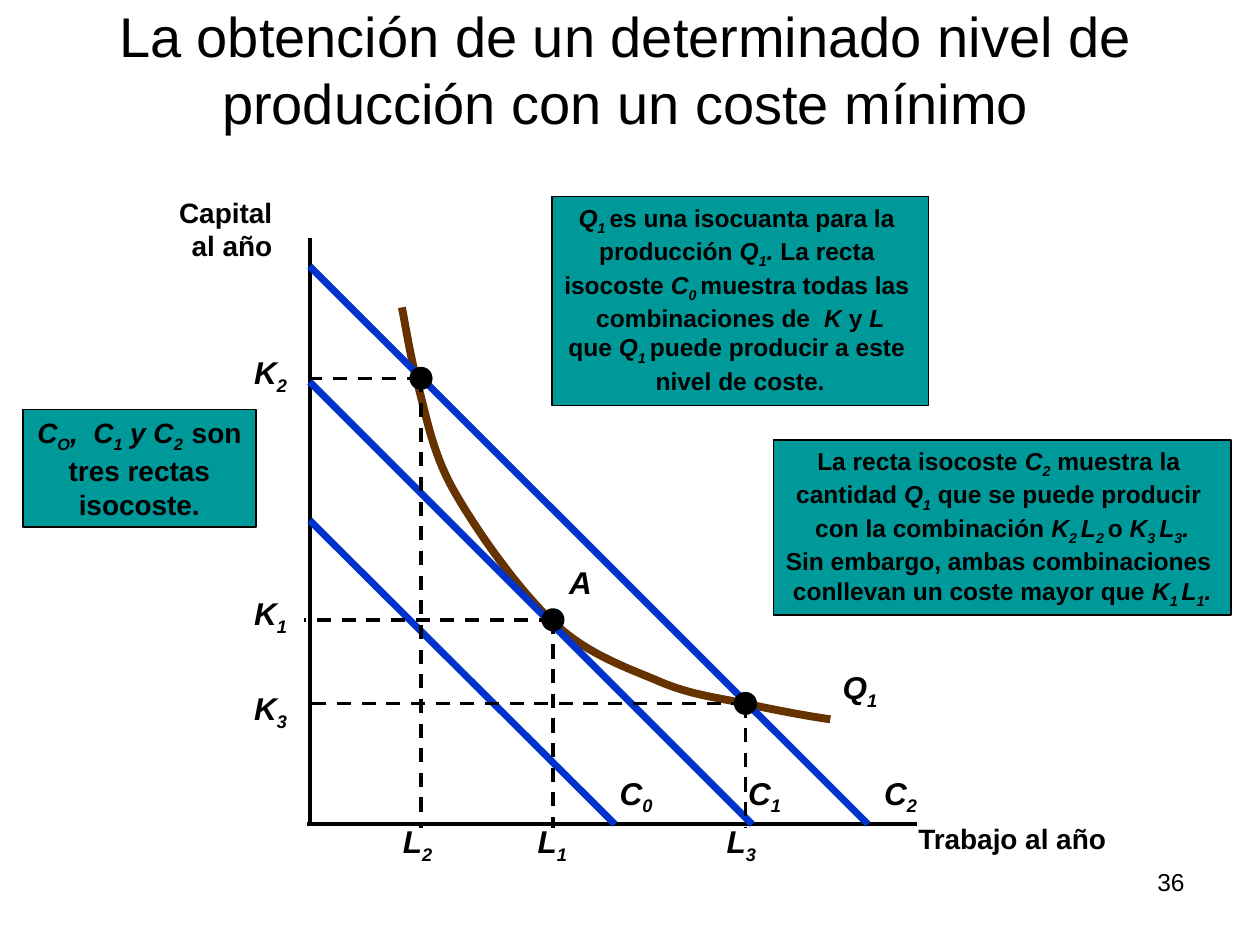
"""Build the slide on reaching a given output at minimum cost."""
from typing import NamedTuple

from lxml.etree import SubElement
from pptx import Presentation
from pptx.dml.color import RGBColor
from pptx.enum.dml import MSO_LINE
from pptx.enum.shapes import MSO_CONNECTOR, MSO_SHAPE
from pptx.enum.text import MSO_ANCHOR, MSO_AUTO_SIZE, PP_ALIGN
from pptx.oxml.ns import qn
from pptx.util import Pt

BLACK, TEAL, BLUE, BROWN = "000000", "009999", "0033CC", "663300"
AXIS_X, AXIS_Y = 177, 471
DOT = 12.2
LABEL_W, LABEL_H = 36, 31.7


class Box(NamedTuple):
    left: float
    top: float
    width: float
    height: float


class Note(NamedTuple):
    box: Box
    size: float
    wrap: bool
    lines: list[str]


class Isocost(NamedTuple):
    y: float
    x: float
    label: str
    label_left: float


class Point(NamedTuple):
    x: float
    y: float
    index: int
    k_top: float
    l_left: float


NOTES = [
    Note(Box(442, 251.3, 261.4, 100), 14, False, [
        "La recta isocoste *C_2_* muestra la ",
        "cantidad *Q_1_* que se puede producir ",
        "con la combinación *K_2 _L_2 _*o *K_3 _L_3_.*",
        "Sin embargo, ambas combinaciones ",
        "conllevan un coste mayor que *K_1 _L_1_.*"]),
    Note(Box(315.4, 112.3, 215.2, 119.5), 14, False, [
        "*Q_1 _*es una isocuanta para la ",
        "producción *Q_1_. *La recta ",
        "isocoste *C_0 _*muestra todas las ",
        "combinaciones de  *K *y *L*",
        "que *Q_1 _*puede producir a este ",
        "nivel de coste."]),
    Note(Box(13, 234, 133.2, 67), 16, True, [
        "*C_O_,  C_1_ y C_2  _*son tres rectas isocoste."]),
]
ISOCOSTS = [
    Isocost(297.4, 351.4, "*C_0_*", 347),
    Isocost(218.2, 429.8, "*C_1_*", 420.5),
    Isocost(152.2, 496, "*C_2_*", 498.2),
]
POINTS = [
    Point(316, 354.2, 1, 336.2, 300.2),
    Point(426, 402, 3, 390.2, 408.2),
    Point(240.6, 216.2, 2, 198, 223.2),
]
ISOQUANT = [
    (229.7, 175.7), (231.1, 182.2), (234, 200.9), (238.3, 218.2),
    (243.4, 235.4), (246.2, 257), (259.2, 280.1), (272.2, 303.1),
    (296.6, 337.7), (316.5, 355.9), (336.2, 374.4), (358.6, 381.6),
    (376.9, 389.5), (395.3, 397.4), (411.8, 398.9), (428, 402.5),
    (444.2, 406.1), (464.4, 409.7), (474.5, 411.1),
]


def color(value: str) -> RGBColor:
    """Turn a hex string into a colour."""
    return RGBColor.from_string(value)


def write(tf, lines: list[str], size: float, align=PP_ALIGN.LEFT,
          bold: bool = True, wrap: bool = False) -> None:
    """Fill a frame with lines where * toggles italics and _ subscript."""
    tf.word_wrap = wrap
    for n, line in enumerate(lines):
        p = tf.paragraphs[0] if n == 0 else tf.add_paragraph()
        p.alignment = align
        p.font.name, p.font.size, p.font.bold = "Arial", Pt(size), bold
        p.font.color.rgb = color(BLACK)
        for i, part in enumerate(line.split("*")):
            for j, piece in enumerate(part.split("_")):
                if not piece:
                    continue
                r = p.add_run()
                r.text = piece
                if i % 2:
                    r.font.italic = True
                if j % 2:
                    r._r.get_or_add_rPr().set("baseline", "-25000")


def add_text(s, box: Box, lines: list[str], size: float = 18, **style) -> None:
    """Add a text box."""
    write(s.shapes.add_textbox(*map(Pt, box)).text_frame, lines, size, **style)


def add_label(s, left: float, top: float, text: str) -> None:
    """Add a one-line symbol label whose box fits its text."""
    tf = s.shapes.add_textbox(*map(Pt, (left, top, LABEL_W, LABEL_H))).text_frame
    tf.auto_size = MSO_AUTO_SIZE.SHAPE_TO_FIT_TEXT
    write(tf, [text], 18)


def add_filled(s, kind, box: Box, fill: str):
    """Add a filled preset shape with a thin black outline."""
    sp = s.shapes.add_shape(kind, *map(Pt, box))
    sp.shadow.inherit = False
    sp.fill.solid()
    sp.fill.fore_color.rgb = color(fill)
    sp.line.color.rgb = color(BLACK)
    sp.line.width = Pt(1)
    return sp


def add_line(s, x1: float, y1: float, x2: float, y2: float,
             stroke: str = BLACK, width: float = 2, dashed: bool = False) -> None:
    """Add a straight line."""
    sp = s.shapes.add_connector(MSO_CONNECTOR.STRAIGHT, *map(Pt, (x1, y1, x2, y2)))
    sp.line.color.rgb = color(stroke)
    sp.line.width = Pt(width)
    if dashed:
        sp.line.dash_style = MSO_LINE.DASH
    SubElement(sp._element.spPr, qn("a:effectLst"))


def add_note(s, note: Note) -> None:
    """Add a teal explanatory box."""
    sp = add_filled(s, MSO_SHAPE.RECTANGLE, note.box, TEAL)
    sp.text_frame.vertical_anchor = MSO_ANCHOR.TOP
    write(sp.text_frame, note.lines, note.size, PP_ALIGN.CENTER, wrap=note.wrap)


def bezier(a, b, c, d, steps: int = 16) -> list[tuple[float, float]]:
    """Sample a cubic curve, leaving out its first point."""
    return [tuple(Pt((1 - t) ** 3 * p0 + 3 * (1 - t) ** 2 * t * p1
                     + 3 * (1 - t) * t ** 2 * p2 + t ** 3 * p3)
                  for p0, p1, p2, p3 in zip(a, b, c, d))
            for t in (n / steps for n in range(1, steps + 1))]


def add_isoquant(s) -> None:
    """Draw the isoquant as an open curve."""
    fb = s.shapes.build_freeform(*map(Pt, ISOQUANT[0]))
    for i in range(0, len(ISOQUANT) - 1, 3):
        fb.add_line_segments(bezier(*ISOQUANT[i:i + 4]), close=False)
    sp = fb.convert_to_shape()
    sp.shadow.inherit = False
    sp.fill.background()
    sp.line.color.rgb = color(BROWN)
    sp.line.width = Pt(4.5)


def add_point(s, pt: Point) -> None:
    """Draw a point with its dashed guides and axis labels."""
    add_line(s, pt.x, pt.y, 173.5, pt.y, dashed=True)
    add_line(s, pt.x, pt.y, pt.x, 473, dashed=True)
    add_label(s, 138.2, pt.k_top, f"*K_{pt.index}_*")
    add_label(s, pt.l_left, 466, f"*L_{pt.index}_*")
    add_filled(s, MSO_SHAPE.OVAL,
               Box(pt.x - DOT / 2, pt.y - DOT / 2, DOT, DOT), BLACK)


def main() -> None:
    """Assemble and save the slide."""
    prs = Presentation()
    prs.slide_width, prs.slide_height = Pt(720), Pt(540)
    s = prs.slides.add_slide(prs.slide_layouts[5])
    title = s.shapes.title
    title.left, title.top, title.width, title.height = map(Pt, (43.2, 20.2, 628.6, 61.2))
    title.text_frame.vertical_anchor = MSO_ANCHOR.BOTTOM
    write(title.text_frame,
          ["La obtención de un determinado nivel de producción con un coste mínimo"],
          32, PP_ALIGN.CENTER, bold=False, wrap=True)

    add_line(s, AXIS_X, 136, AXIS_X, AXIS_Y)
    add_line(s, 175.7, AXIS_Y, 524.2, AXIS_Y)
    add_text(s, Box(517.7, 465.8, 122.4, 26), ["Trabajo al año"], 16)
    add_text(s, Box(95, 108, 67.7, 45.4), ["Capital", "al año"], 16, align=PP_ALIGN.RIGHT)
    add_isoquant(s)
    add_label(s, 474.5, 378, "*Q_1_*")
    for note in NOTES:
        add_note(s, note)
    for cost in ISOCOSTS:
        add_line(s, AXIS_X, cost.y, cost.x, AXIS_Y, BLUE, 4)
        add_label(s, cost.label_left, 438.5, cost.label)
    for pt in POINTS:
        add_point(s, pt)
    add_text(s, Box(318.2, 318.2, 27.4, 28.8), ["*A*"])
    add_text(s, Box(516.2, 491.8, 167.8, 37.4), ["36"], 14,
             align=PP_ALIGN.RIGHT, bold=False, wrap=True)
    prs.save("out.pptx")


if __name__ == "__main__":
    main()
